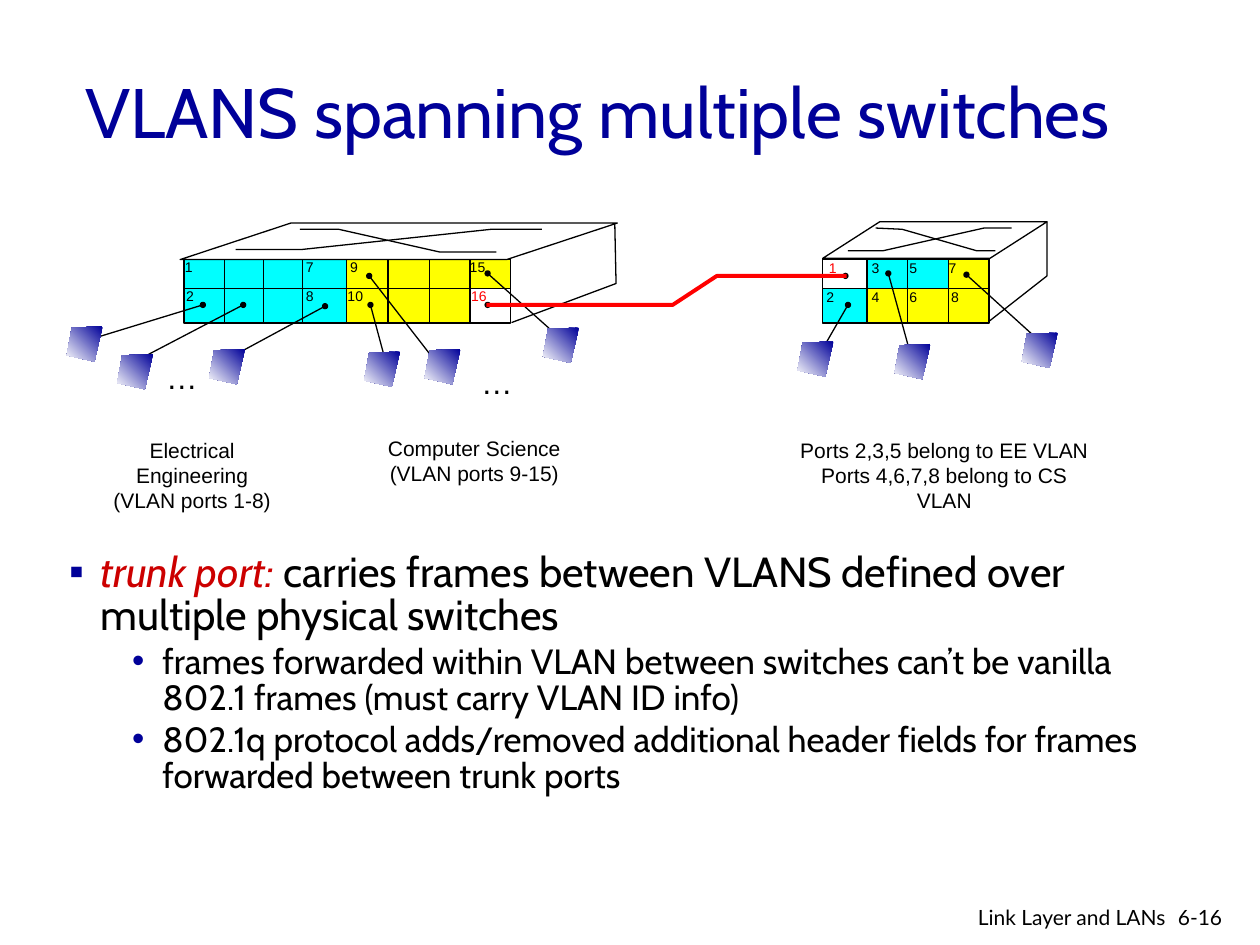
from dataclasses import dataclass
from itertools import chain
from typing import Any

from lxml.etree import SubElement
from pptx import Presentation
from pptx.dml.color import RGBColor
from pptx.enum.shapes import MSO_CONNECTOR, MSO_SHAPE
from pptx.enum.text import MSO_ANCHOR, MSO_AUTO_SIZE, PP_ALIGN
from pptx.oxml.ns import qn
from pptx.util import Emu, Inches, Pt

CYAN, YELLOW, RED, NAVY = "00FFFF", "FFFF00", "FF0000", "000099"
BLACK, WHITE = "000000", "FFFFFF"


def tint(code):
    """Turn a hex string into a colour."""
    return RGBColor.from_string(code)


def write(par, text, *, size=8, font="Arial", color=BLACK, italic=False):
    """Add one formatted run to a paragraph."""
    run = par.add_run()
    run.text = text
    run.font.size, run.font.name = Pt(size), font
    run.font.color.rgb, run.font.italic = tint(color), italic


@dataclass
class Sketch:
    """Draw on a slide of 100 columns by 75 rows."""
    slide: Any
    wide: int
    high: int
    width: float = 0.75
    ink: str = BLACK

    def spot(self, x, y):
        """Give the place of a column and row."""
        return Emu(round(x * self.wide / 100)), Emu(round(y * self.high / 75))

    def box(self, x, y, w, h):
        """Give left, top, width and height."""
        return *self.spot(x, y), *self.spot(w, h)

    def edge(self, line, color=None, width=None):
        """Style a line."""
        line.color.rgb = tint(color or self.ink)
        line.width = Pt(width or self.width)

    def shape(self, area, kind=MSO_SHAPE.RECTANGLE, fill=None, line=False, slant=None):
        """Add a preset shape."""
        item = self.slide.shapes.add_shape(kind, *self.box(*area))
        item.shadow.inherit = False
        if slant:
            item.adjustments[0] = slant
        if fill:
            item.fill.solid()
            item.fill.fore_color.rgb = tint(fill)
        else:
            item.fill.background()
        if line:
            self.edge(item.line)
        else:
            item.line.fill.background()

    def line(self, start, end):
        """Add a straight line."""
        item = self.slide.shapes.add_connector(
            MSO_CONNECTOR.STRAIGHT, *self.spot(*start), *self.spot(*end))
        self.edge(item.line)
        SubElement(item.line._get_or_add_ln().getparent(), qn("a:effectLst"))

    def outline(self, spots, closed=False):
        """Add a plain freeform outline."""
        first, *rest = [self.spot(*p) for p in spots]
        pen = self.slide.shapes.build_freeform(*first, scale=1.0)
        pen.add_line_segments(rest, close=closed)
        item = pen.convert_to_shape()
        item.shadow.inherit = False
        return item

    def bend(self, *spots, color=None, width=None):
        """Add an open bent line."""
        item = self.outline(spots)
        item.fill.background()
        self.edge(item.line, color, width)

    def host(self, x, y):
        """Add a shaded host."""
        item = self.outline([(x + dx, y + dy) for dx, dy in
                             ((2.85, 0), (0.4, 0.1), (0, 2.3), (2.2, 2.8))], True)
        item.line.fill.background()
        item.fill.gradient()
        item.fill.gradient_angle = 225
        for stop, color in zip(item.fill.gradient_stops, (NAVY, WHITE)):
            stop.color.rgb = tint(color)

    def text(self, area, *lines, wrap=False, align=PP_ALIGN.LEFT,
             anchor=MSO_ANCHOR.TOP, **form):
        """Add a text box with one paragraph per line."""
        frame = self.slide.shapes.add_textbox(*self.box(*area)).text_frame
        frame.word_wrap, frame.vertical_anchor = wrap, anchor
        if not wrap:
            frame.auto_size = MSO_AUTO_SIZE.SHAPE_TO_FIT_TEXT
        for i, words in enumerate(lines):
            par = frame.add_paragraph() if i else frame.paragraphs[0]
            par.alignment = align
            write(par, words, **form)
        return frame

    def bullet(self, par, level, mark, left, hang):
        """Turn a paragraph into a list item."""
        props = par._p.get_or_add_pPr()
        props.set("marL", str(Inches(left)))
        props.set("indent", str(-Inches(hang)))
        SubElement(SubElement(props, qn("a:buClr")), qn("a:srgbClr"), val=NAVY)
        SubElement(props, qn("a:buFont"), typeface="Arial")
        SubElement(props, qn("a:buChar"), char=mark)
        par.level, par.line_spacing = level, 0.85

    def switch(self, cols, lid, slant, blocks, back, cross):
        """Add a switch with its coloured port blocks."""
        rows = (20.55, 22.9, 25.65)
        for c, r, across, down, fill in blocks:
            x, y = cols[c], rows[r]
            self.shape((x, y, cols[c + across] - x, rows[r + down] - y), fill=fill)
        self.shape((cols[0], rows[0], cols[-1] - cols[0], rows[-1] - rows[0]), line=True)
        self.line((cols[0], rows[1]), (cols[-1], rows[1]))
        for x in cols[1:-1]:
            self.line((x, rows[0]), (x, rows[-1]))
        self.shape(lid, MSO_SHAPE.PARALLELOGRAM, WHITE, True, slant)
        for spots in (back, *cross):
            self.bend(*spots)

    def ports(self, tops, marks):
        """Add the port numbers of two rows."""
        for y, row in zip(tops, marks):
            for name, x in row.items():
                color = RED if name == "16" or (name == "1" and x > 60) else BLACK
                self.text((x, y, 2.6 if len(name) == 1 else 3.3, 2.3), name, color=color)


def main():
    """Build the slide and save it."""
    deck = Presentation()
    deck.slide_width, deck.slide_height = Inches(10), Inches(7.5)
    art = Sketch(deck.slides.add_slide(deck.slide_layouts[6]),
                 deck.slide_width, deck.slide_height)
    art.text((5.8, 2.5, 85, 12.5), "VLANS spanning multiple switches", wrap=True,
             anchor=MSO_ANCHOR.MIDDLE, size=40, font="Cabin", color=NAVY)

    body = art.text((4.5, 43.4, 90.7, 29.4), "trunk port: ", wrap=True,
                    size=24, font="Cabin", color="CC0000", italic=True)
    lead = body.paragraphs[0]
    write(lead, "carries frames between VLANS defined over multiple physical switches",
          size=24, font="Cabin")
    art.bullet(lead, 0, "▪", 0.25, 0.25)
    for words in ("frames forwarded within VLAN between switches can’t be vanilla "
                  "802.1 frames (must carry VLAN ID info)",
                  "802.1q protocol adds/removed additional header fields for frames "
                  "forwarded between trunk ports"):
        par = body.add_paragraph()
        art.bullet(par, 1, "•", 0.74, 0.24)
        par.space_before = Pt(4)
        write(par, words, size=20, font="Cabin")

    art.switch((14.6, 17.8, 20.9, 24, 27.5, 30.8, 34.1, 37.3, 40.5),
               (14.3, 17.7, 34.7, 2.9), 3.03,
               [(0, 0, 1, 1, CYAN), (0, 1, 1, 1, CYAN), (7, 0, 1, 1, YELLOW),
                (4, 0, 3, 2, YELLOW), (1, 0, 3, 2, CYAN)],
               [(40.6, 25.6), (48.9, 22.5), (48.8, 17.7)],
               [[(18.7, 19.8), (24, 19.8), (39, 18.2), (43, 18.2)],
                [(23.8, 18.2), (26.9, 18.2), (34.9, 20), (39.4, 20)]])
    art.switch((65.3, 68.8, 72, 75.3, 78.5), (65.3, 17.6, 17.8, 2.9), 1.56,
               [(0, 1, 1, 1, CYAN), (1, 0, 1, 1, CYAN), (2, 0, 1, 1, CYAN),
                (3, 0, 1, 1, YELLOW), *((c, 1, 1, 1, YELLOW) for c in (1, 2, 3))],
               [(83.1, 17.6), (83.1, 21.9), (78.5, 25.5)],
               [[(67.3, 19.9), (70.1, 19.9), (78.1, 18.1), (80.3, 18.1)],
                [(69.5, 18.1), (71.6, 18.2), (77.5, 19.9), (79, 19.9)]])
    art.ports((20, 22.35), ({"1": 13.7, "7": 23.3, "9": 26.8, "15": 36.3},
                            {"2": 13.8, "8": 23.3, "10": 26.6, "16": 36.4}))
    art.ports((20.1, 22.45), ({"1": 64.8, "3": 68.2, "5": 71.2, "7": 74.3},
                              {"2": 64.6, "4": 68.2, "6": 71.2, "8": 74.5}))

    links = {(16.1, 24.2): ((6.3, 27.2), (5.3, 25.9)),
             (19.3, 24.2): ((10.5, 28.8), (9.3, 28.1)),
             (25.8, 24.3): ((18.4, 28.3), (16.6, 27.7)),
             (29.4, 24.2): ((30.5, 28.3), (28.9, 27.9)),
             (29.3, 21.9): ((34.5, 28.6), (33.7, 27.7)),
             (38.7, 21.7): ((44.3, 26.7), (43.1, 26)),
             (67.3, 24.2): ((65.4, 27.5), (63.3, 27.1)),
             (70.5, 21.7): ((72.4, 28.6), (71, 27.3)),
             (76.7, 21.8): ((82.1, 26.7), (81.1, 26.4))}
    for port, (end, _) in links.items():
        art.line(port, end)
    for x, y in chain(links, [(38.7, 24.2), (67.1, 21.9)]):
        art.shape((x - 0.25, y - 0.25, 0.5, 0.5), MSO_SHAPE.OVAL, BLACK)
    art.bend((38.6, 24.2), (53.4, 24.2), (56.9, 21.9), (67.2, 21.9),
             color=RED, width=2.25)
    for _, place in links.values():
        art.host(*place)

    for x, y in ((37.2, 28.3), (12.2, 27.9)):
        art.text((x, y, 4.5, 4), "…", size=18)
    for area, wrap, lines in (
            ((6.5, 34.2, 17.5, 5), True, ("Electrical Engineering", "(VLAN ports 1-8)")),
            ((29.8, 34.1, 15.7, 5), False, ("Computer Science", "(VLAN ports 9-15)")),
            ((61.8, 34.2, 26.3, 5), False, ("Ports 2,3,5 belong to EE VLAN",
                                            "Ports 4,6,7,8 belong to CS VLAN"))):
        art.text(area, *lines, wrap=wrap, align=PP_ALIGN.CENTER, size=12)
    art.text((92.5, 71.3, 6, 3), "6-16", wrap=True, size=12, font="Lato")
    art.text((69.7, 71.3, 23.8, 2.6), "Link Layer and LANs", wrap=True,
             align=PP_ALIGN.RIGHT, size=12, font="Lato")
    deck.save("out.pptx")


if __name__ == "__main__":
    main()
